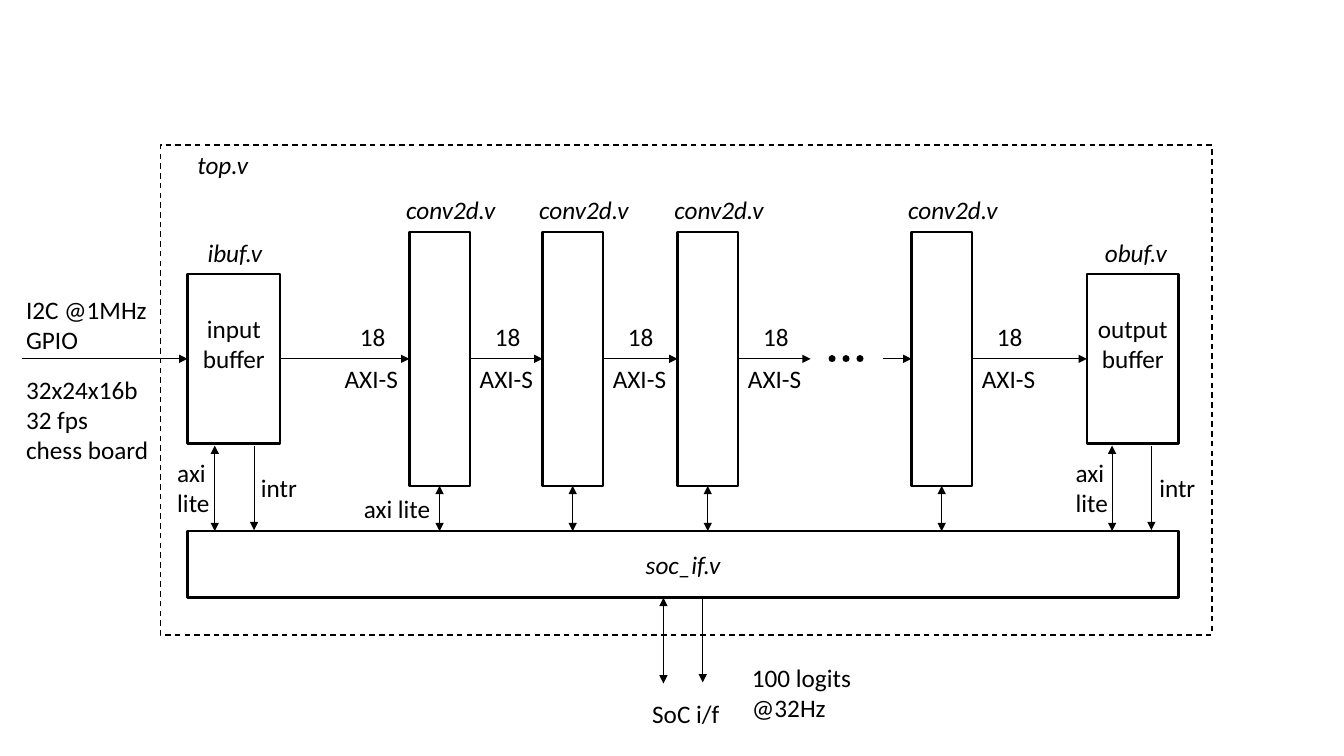
from dataclasses import dataclass

from lxml import etree
from pptx import Presentation
from pptx.dml.color import RGBColor
from pptx.enum.dml import MSO_LINE
from pptx.enum.shapes import MSO_CONNECTOR, MSO_SHAPE
from pptx.enum.text import MSO_ANCHOR, MSO_AUTO_SIZE, PP_ALIGN
from pptx.oxml.ns import qn
from pptx.util import Inches, Pt

RECT = MSO_SHAPE.RECTANGLE
STRAIGHT = MSO_CONNECTOR.STRAIGHT
DASH, DOTS = MSO_LINE.DASH, MSO_LINE.ROUND_DOT
LEFT, CENTER = PP_ALIGN.LEFT, PP_ALIGN.CENTER
MIDDLE = MSO_ANCHOR.MIDDLE
FIT = MSO_AUTO_SIZE.SHAPE_TO_FIT_TEXT
SIDE_LEFT, SIDE_BOTTOM, SIDE_RIGHT = 1, 2, 3


@dataclass(frozen=True)
class Theme:
    font: str = "Calibri"
    size: float = 18
    ink: RGBColor = RGBColor(0, 0, 0)
    box_line: float = 1.75
    frame_line: float = 1
    wire_line: float = 0.5
    dots_line: float = 5


class Diagram:
    def __init__(self, slide, theme):
        self.s, self.theme = slide, theme

    def add_text(self, tf, text, align, italic):
        style = {"name": self.theme.font, "size": Pt(self.theme.size), "italic": italic}
        for i, line in enumerate(text.split("\n")):
            p = tf.paragraphs[0] if i == 0 else tf.add_paragraph()
            p.alignment = align
            r = p.add_run()
            r.text = line
            for name, value in style.items():
                setattr(r.font, name, value)
            r.font.color.rgb = self.theme.ink

    def stroke(self, line, width, dash=None):
        line.color.rgb = self.theme.ink
        line.width = Pt(width)
        if dash:
            line.dash_style = dash

    def box(self, x, y, w, h, text="", italic=False, bottom=0.05, width=None, dash=None):
        sp = self.s.shapes.add_shape(RECT, Inches(x), Inches(y), Inches(w), Inches(h))
        sp.shadow.inherit = False
        sp.fill.background()
        self.stroke(sp.line, width or self.theme.box_line, dash)
        if text:
            tf = sp.text_frame
            frame = {"word_wrap": True, "vertical_anchor": MIDDLE,
                     "margin_bottom": Inches(bottom)}
            for name, value in frame.items():
                setattr(tf, name, value)
            self.add_text(tf, text, CENTER, italic)
        return sp

    def label(self, x, y, w, text, italic=False):
        h = 0.1 + 0.3 * len(text.split("\n"))
        sp = self.s.shapes.add_textbox(Inches(x), Inches(y), Inches(w), Inches(h))
        sp.text_frame.word_wrap = False
        sp.text_frame.auto_size = FIT
        self.add_text(sp.text_frame, text, LEFT, italic)

    def line(self, x1, y1, x2, y2, width, dash=None):
        cx = self.s.shapes.add_connector(
            STRAIGHT, Inches(x1), Inches(y1), Inches(x2), Inches(y2))
        self.stroke(cx.line, width, dash)
        etree.SubElement(cx._element.spPr, qn("a:effectLst"))
        return cx

    def arrow(self, x1, y1, x2, y2, both=False, begin=None, end=None):
        cx = self.line(x1, y1, x2, y2, self.theme.wire_line)
        ln = cx.get_or_add_ln()
        for tag in ("a:headEnd", "a:tailEnd") if both else ("a:tailEnd",):
            etree.SubElement(ln, qn(tag), type="triangle")
        if begin:
            cx.begin_connect(*begin)
        if end:
            cx.end_connect(*end)

    def dots(self, x1, x2, y):
        cx = self.line(x1, y, x2, y, self.theme.dots_line, DOTS)
        cx.get_or_add_ln().set("cap", "rnd")


def main():
    prs = Presentation()
    prs.slide_width, prs.slide_height = Inches(13.33), Inches(7.5)
    theme = Theme()
    d = Diagram(prs.slides.add_slide(prs.slide_layouts[6]), theme)
    flow_y, bus_y, conv_w = 3.56, 5.27, 0.6

    # Top module frame and the shared interface block
    d.box(1.59, 1.44, 10.43, 4.86, width=theme.frame_line, dash=DASH)
    d.label(1.86, 1.43, 0.71, "top.v", italic=True)
    d.box(1.86, bus_y, 9.83, 0.66, "soc_if.v", italic=True)

    # Input and output buffers, raised text
    ibuf = d.box(1.86, 2.72, 0.92, 1.68, "input buffer", bottom=0.35)
    obuf = d.box(10.78, 2.72, 0.91, 1.68, "output buffer", bottom=0.35)
    d.label(1.96, 2.31, 0.75, "ibuf.v", italic=True)
    d.label(10.86, 2.31, 0.82, "obuf.v", italic=True)

    # Convolution stages with their control links
    conv_xs = (4.06, 5.38, 6.72, 9.04)
    convs = []
    for x in conv_xs:
        conv = d.box(x, 2.3, conv_w, 2.52)
        convs.append(conv)
        d.label(x - 0.13, 1.88, 1.1, "conv2d.v", italic=True)
        mid = x + conv_w / 2
        d.arrow(mid, bus_y, mid, 4.82, both=True, end=(conv, SIDE_BOTTOM))
    d.label(3.51, 4.84, 0.87, "axi lite")

    # Data stream from stage to stage, broken by the dots
    stages = [ibuf, *convs, obuf]
    for i, (a, b) in enumerate(zip(stages, stages[1:])):
        if i != 3:
            d.arrow(0, flow_y, 1, flow_y, begin=(a, SIDE_RIGHT), end=(b, SIDE_LEFT))
    d.arrow(7.32, flow_y, 8.04, flow_y, begin=(convs[2], SIDE_RIGHT))
    d.dots(8.53, 8.22, flow_y)
    d.arrow(8.76, flow_y, 9.04, flow_y, end=(convs[3], SIDE_LEFT))
    for x in (3.32, *(x + conv_w for x in conv_xs)):
        d.label(x, flow_y, 0.73, "AXI-S")
        d.label(x + 0.15, 3.14, 0.46, "18")

    # Sensor input
    d.arrow(0.22, flow_y, 1.86, flow_y, end=(ibuf, SIDE_LEFT))
    d.label(0.16, 2.87, 1.41, "I2C @1MHz\nGPIO")
    d.label(0.16, 3.66, 1.43, "32x24x16b\n32 fps\nchess board")

    # Control and interrupt pairs
    for x, y in ((2.13, 4.42), (11.03, 4.42), (6.58, 5.93)):
        d.arrow(x, y + 0.85, x, y, both=True)
        d.arrow(x + 0.39, y, x + 0.39, y + 0.84)
    for x in (1.66, 10.57):
        d.label(x, 4.49, 0.54, "axi\nlite")
        d.label(x + 0.83, 4.64, 0.56, "intr")

    # System output
    d.label(6.37, 6.88, 0.88, "SoC i/f")
    d.label(7.36, 6.52, 1.19, "100 logits\n@32Hz")

    prs.save("out.pptx")


if __name__ == "__main__":
    main()
